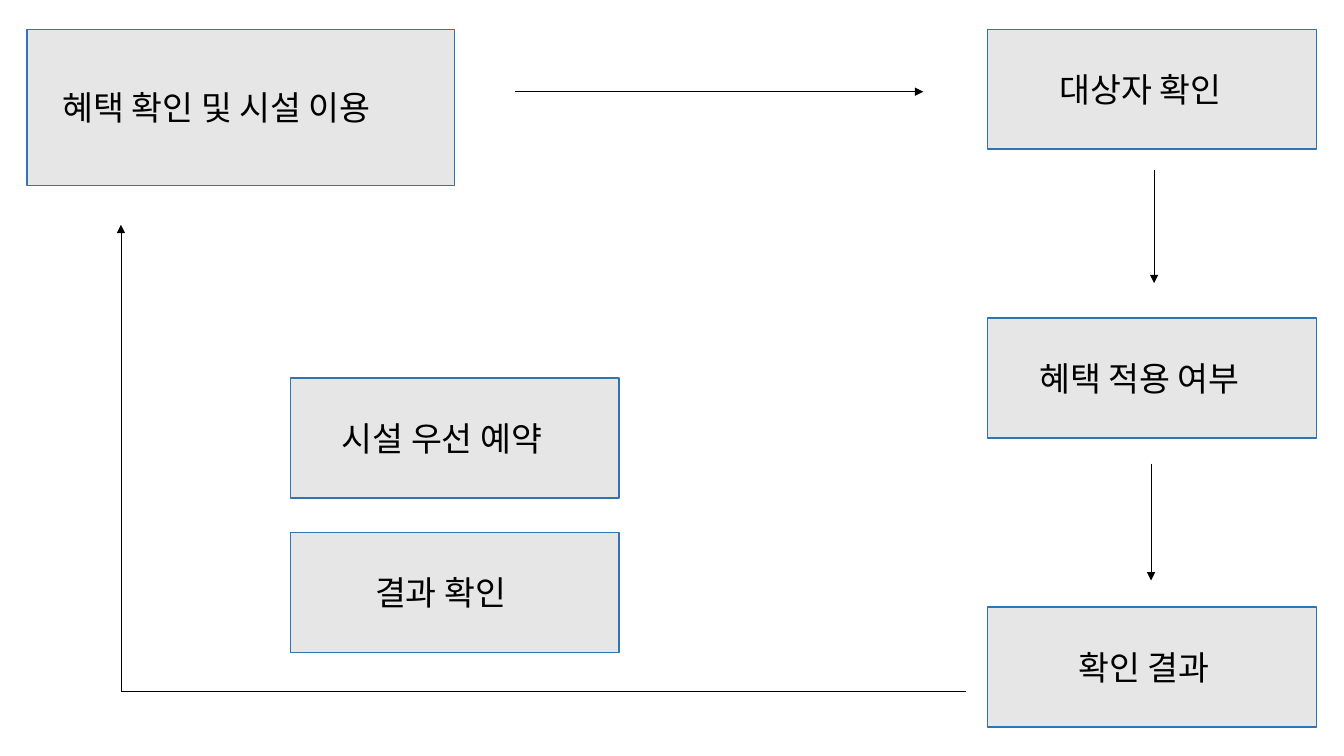
from lxml import etree
from pptx import Presentation
from pptx.dml import color
from pptx.enum import shapes, text
from pptx.oxml import ns
from pptx.util import Pt

COLORS = {"box": "E7E6E6", "border": "2E75B6", "ink": "000000"}
FONT = "Arial"
STEP_SIZE = (234.7, 85.7)


def rgb(name):
    return color.RGBColor.from_string(COLORS[name])


def write_text(shape, content, size=24, ink="ink", indent=7.2):
    frame = shape.text_frame
    frame.word_wrap = True
    frame.margin_left = Pt(indent)
    frame.vertical_anchor = text.MSO_ANCHOR.MIDDLE
    paragraph = frame.paragraphs[0]
    paragraph.alignment = text.PP_ALIGN.LEFT
    run = paragraph.add_run()
    run.text = content
    run.font.size = Pt(size)
    run.font.name = FONT
    run.font.color.rgb = rgb(ink)


def add_step(slide, box, content, indent):
    shape = slide.shapes.add_shape(
        shapes.MSO_SHAPE.RECTANGLE, *(Pt(length) for length in box))
    shape.shadow.inherit = False
    shape.fill.solid()
    shape.fill.fore_color.rgb = rgb("box")
    shape.line.color.rgb = rgb("border")
    shape.line.width = Pt(1)
    write_text(shape, content, indent=indent)


def add_line(slide, start, end, arrow=True):
    connector = slide.shapes.add_connector(
        shapes.MSO_CONNECTOR.STRAIGHT, *(Pt(length) for length in (*start, *end)))
    connector.line.color.rgb = rgb("ink")
    connector.line.width = Pt(0.5)
    if arrow:
        etree.SubElement(connector.line._get_or_add_ln(),
                         ns.qn("a:tailEnd"), type="triangle")
    etree.SubElement(connector._element.spPr, ns.qn("a:effectLst"))


def add_stack(slide, left, top, pitch, steps):
    for index, (content, indent) in enumerate(steps):
        add_step(slide, (left, top + index * pitch, *STEP_SIZE), content, indent)


def add_start(slide, left, top, width, height):
    add_step(slide, (left, top, width, height), "혜택 확인 및 시설 이용", 25.2)
    arrow_y = top + 44.6
    add_line(slide, (left + width + 43.2, arrow_y), (left + width + 334.8, arrow_y))


def add_checks(slide, left, top, pitch):
    add_stack(slide, left, top, pitch,
              [("대상자 확인", 51.1), ("혜택 적용 여부", 36.7), ("확인 결과", 64.8)])
    for x, start, end in [(118.8, 100.8, 181.4), (116.6, 310.3, 393.8)]:
        add_line(slide, (left + x, top + start), (left + x, top + end))


def add_reservation(slide, left, top, pitch):
    add_stack(slide, left, top, pitch,
              [("시설 우선 예약", 36.7), ("결과 확인", 60.5)])


def add_return_path(slide, left, top, width, height):
    corner = (left, top + height)
    add_line(slide, (left + width, top + height), corner, arrow=False)
    add_line(slide, corner, (left, top))


def build_flow(slide):
    add_start(slide, 19.4, 20.9, 305.3, 111.6)
    add_checks(slide, 705.6, 20.9, 206.3)
    add_reservation(slide, 207.4, 270, 110.2)
    add_return_path(slide, 86.4, 160.6, 603.4, 333.3)


presentation = Presentation()
presentation.slide_width = Pt(960)
presentation.slide_height = Pt(540)
build_flow(presentation.slides.add_slide(presentation.slide_layouts[6]))
presentation.save("out.pptx")
